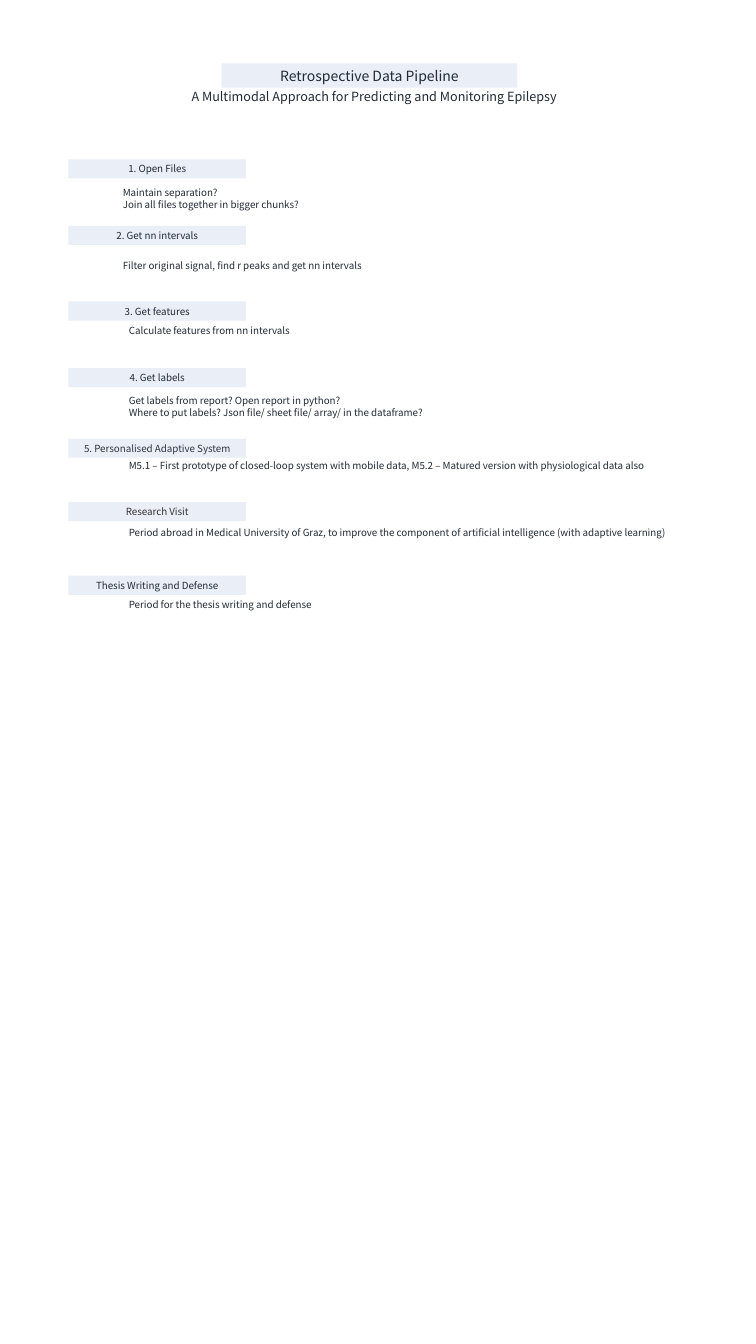
from dataclasses import dataclass

from pptx import Presentation
from pptx import util as u
from pptx.dml.color import RGBColor
from pptx.enum import shapes, text


@dataclass(frozen=True)
class Theme:
    font: str = "Noto Sans CJK JP"
    ink: str = "222A35"
    soft_ink: str = "2E3641"
    grey_ink: str = "333333"
    band: str = "E9EEF7"
    title: int = 10
    subtitle: int = 9
    body: int = 7


THEME = Theme()
WIDTH, HEIGHT = u.Inches(7.5), u.Inches(13.33)
COLUMNS, ROWS = 750, 1333
STEP_LEFT, STEP_WIDTH, STEP_HEIGHT = 68, 176, 19
NEAR, FAR = 112, 118

STEPS = [
    (158, "1. Open Files", THEME.ink, NEAR, 441, 40,
     ["Maintain separation?", "Join all files together in bigger chunks?"]),
    (224, "2. Get nn intervals", THEME.ink, NEAR, 441, 40,
     ["Filter original signal, find r peaks and get nn intervals"]),
    (299, "3. Get features", THEME.ink, FAR, 482, 19,
     ["Calculate features from nn intervals"]),
    (365, "4. Get labels", THEME.ink, FAR, 441, 39,
     ["Get labels from report? Open report in python?",
      "Where to put labels? Json file/ sheet file/ array/ in the dataframe?"]),
    (435, "5. Personalised Adaptive System", THEME.soft_ink, FAR, 546, 16,
     ["M5.1 – First prototype of closed-loop system with mobile data, "
      "M5.2 – Matured version with physiological data also"]),
    (498, "Research Visit", THEME.grey_ink, FAR, 584, 23,
     ["Period abroad in Medical University of Graz, to improve the component "
      "of artificial intelligence (with adaptive learning)"]),
    (571, "Thesis Writing and Defense", THEME.ink, FAR, 505, 19,
     ["Period for the thesis writing and defense"]),
]


def place(left, top, width, height):
    return (WIDTH * left // COLUMNS, HEIGHT * top // ROWS,
            WIDTH * width // COLUMNS, HEIGHT * height // ROWS)


def write(box, lines, *, size=THEME.body, color=THEME.ink,
          align=text.PP_ALIGN.LEFT):
    frame = box.text_frame
    frame.word_wrap = True
    frame.vertical_anchor = text.MSO_ANCHOR.MIDDLE
    frame.margin_top = frame.margin_bottom = 0
    frame.text = "\n".join(lines)
    for para in frame.paragraphs:
        para.alignment = align
        for span in para.runs:
            span.font.name = THEME.font
            span.font.size = u.Pt(size)
            span.font.color.rgb = RGBColor.from_string(color)


def add_band(page, area, label, **style):
    box = page.shapes.add_shape(shapes.MSO_SHAPE.RECTANGLE, *place(*area))
    box.shadow.inherit = False
    box.fill.solid()
    box.fill.fore_color.rgb = RGBColor.from_string(THEME.band)
    box.line.fill.background()
    write(box, [label], align=text.PP_ALIGN.CENTER, **style)


def add_text(page, area, lines, **style):
    write(page.shapes.add_textbox(*place(*area)), lines, **style)


def add_step(page, top, label, color, left, width, height, notes):
    add_band(page, (STEP_LEFT, top, STEP_WIDTH, STEP_HEIGHT), label, color=color)
    add_text(page, (left, top + STEP_HEIGHT, width, height), notes)


def main():
    deck = Presentation()
    deck.slide_width, deck.slide_height = WIDTH, HEIGHT
    page = deck.slides.add_slide(deck.slide_layouts[6])
    add_band(page, (220, 63, 293, 24), "Retrospective Data Pipeline",
             size=THEME.title)
    add_text(page, (156, 85, 430, 22),
             ["A Multimodal Approach for Predicting and Monitoring Epilepsy"],
             size=THEME.subtitle, align=text.PP_ALIGN.CENTER)
    for step in STEPS:
        add_step(page, *step)
    deck.save("out.pptx")


main()
